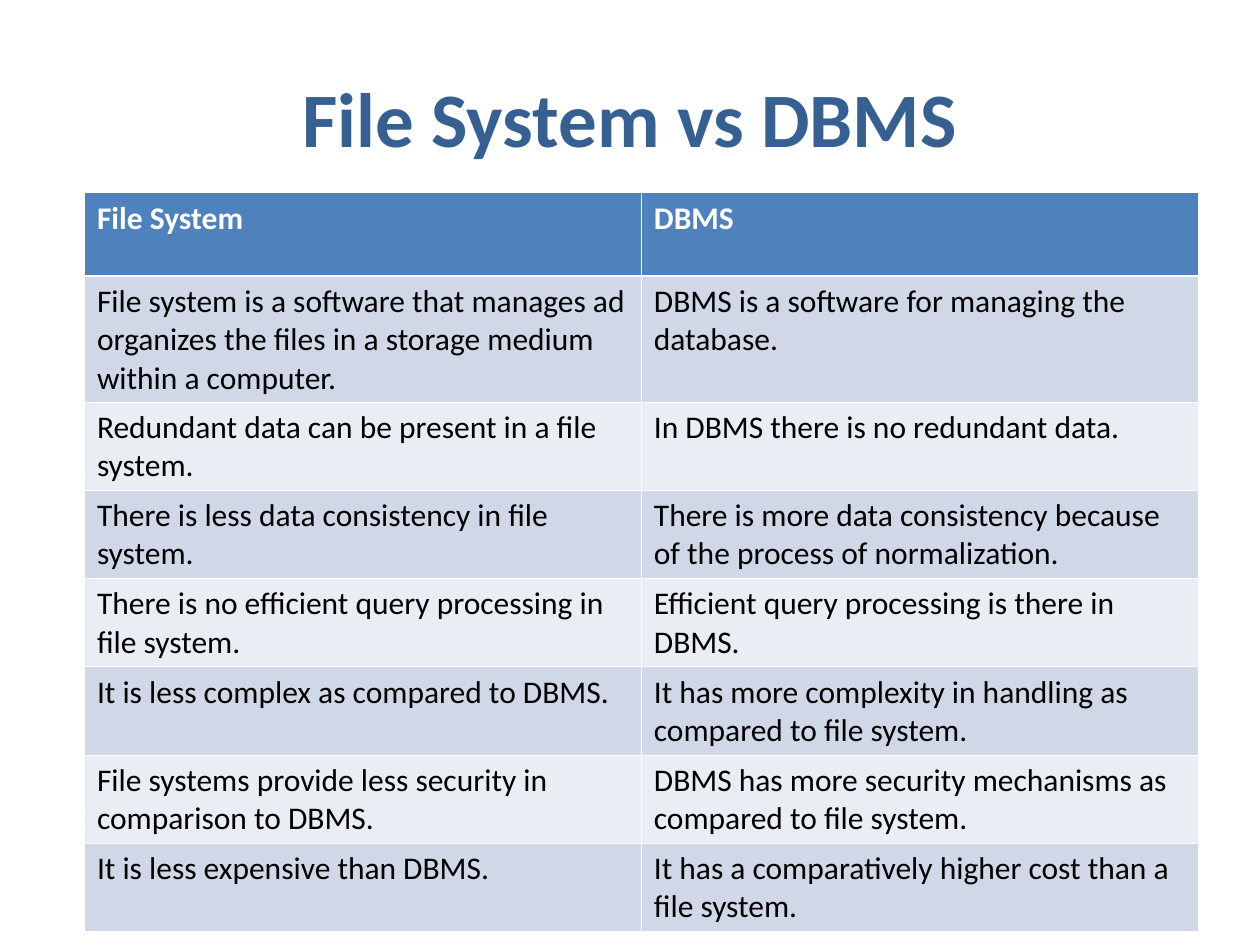
import lxml.etree
import pptx
import pptx.dml.color
import pptx.enum.text
import pptx.oxml.ns
import pptx.util

COLORS = {
    "title": "376092",
    "header": "4F81BD",
    "odd": "D0D8E8",
    "even": "E9EDF4",
    "white": "FFFFFF",
    "black": "000000",
}
ROWS = [
    ("File System", "DBMS"),
    ("File system is a software that manages ad organizes the files in a storage medium within a computer.",
     "DBMS is a software for managing the database."),
    ("Redundant data can be present in a file system.",
     "In DBMS there is no redundant data."),
    ("There is less data consistency in file system.",
     "There is more data consistency because of the process of normalization."),
    ("There is no efficient query processing in file system.",
     "Efficient query processing is there in DBMS."),
    ("It is less complex as compared to DBMS.",
     "It has more complexity in handling as compared to file system."),
    ("File systems provide less security in comparison to DBMS.",
     "DBMS has more security mechanisms as compared to file system."),
    ("It is less expensive than DBMS.",
     "It has a comparatively higher cost than a file system."),
]
ROW_HEIGHTS = [0.66, 1] + [0.7] * 6
COLUMN_WIDTH = 4.42


def add_run(p, text, size, color, bold):
    r = p.add_run()
    r.text = text
    r.font.name = "Calibri"
    r.font.size = pptx.util.Pt(size)
    r.font.bold = bold
    r.font.color.rgb = pptx.dml.color.RGBColor.from_string(COLORS[color])


def add_border(cell, side, width):
    """Draw a white line on one side (L, R, T or B) of a table cell."""
    qn = pptx.oxml.ns.qn
    tc_pr = cell._tc.get_or_add_tcPr()
    line = lxml.etree.SubElement(tc_pr, qn(f"a:ln{side}"), w=str(int(pptx.util.Pt(width))))
    fill = lxml.etree.SubElement(line, qn("a:solidFill"))
    lxml.etree.SubElement(fill, qn("a:srgbClr"), val=COLORS["white"])


prs = pptx.Presentation()
prs.slide_width = pptx.util.Inches(10)
prs.slide_height = pptx.util.Inches(7.5)
s = prs.slides.add_slide(prs.slide_layouts[6])

# Title
w, h = prs.slide_width, prs.slide_height
sp = s.shapes.add_textbox(int(w * 0.05), int(h * 0.04), int(w * 0.9), pptx.util.Inches(1.25))
tf = sp.text_frame
tf.word_wrap = True
tf.vertical_anchor = pptx.enum.text.MSO_ANCHOR.MIDDLE
p = tf.paragraphs[0]
p.alignment = pptx.enum.text.PP_ALIGN.CENTER
add_run(p, "File System vs DBMS", 44, "title", True)

# Comparison table
table = s.shapes.add_table(
    len(ROWS), 2, pptx.util.Inches(0.67), pptx.util.Inches(1.53),
    pptx.util.Inches(2 * COLUMN_WIDTH), pptx.util.Inches(sum(ROW_HEIGHTS)),
).table
for column in table.columns:
    column.width = pptx.util.Inches(COLUMN_WIDTH)

for i, (texts, height) in enumerate(zip(ROWS, ROW_HEIGHTS)):
    table.rows[i].height = pptx.util.Inches(height)
    is_header = i == 0
    background = "header" if is_header else "odd" if i % 2 else "even"
    for j, text in enumerate(texts):
        cell = table.cell(i, j)
        for side in "LRTB":
            under_header = (i, side) in ((0, "B"), (1, "T"))
            add_border(cell, side, 1.47 if under_header else 0.45)
        cell.fill.solid()
        cell.fill.fore_color.rgb = pptx.dml.color.RGBColor.from_string(COLORS[background])
        p = cell.text_frame.paragraphs[0]
        add_run(p, text, 18, "white" if is_header else "black", is_header)

prs.save("out.pptx")
